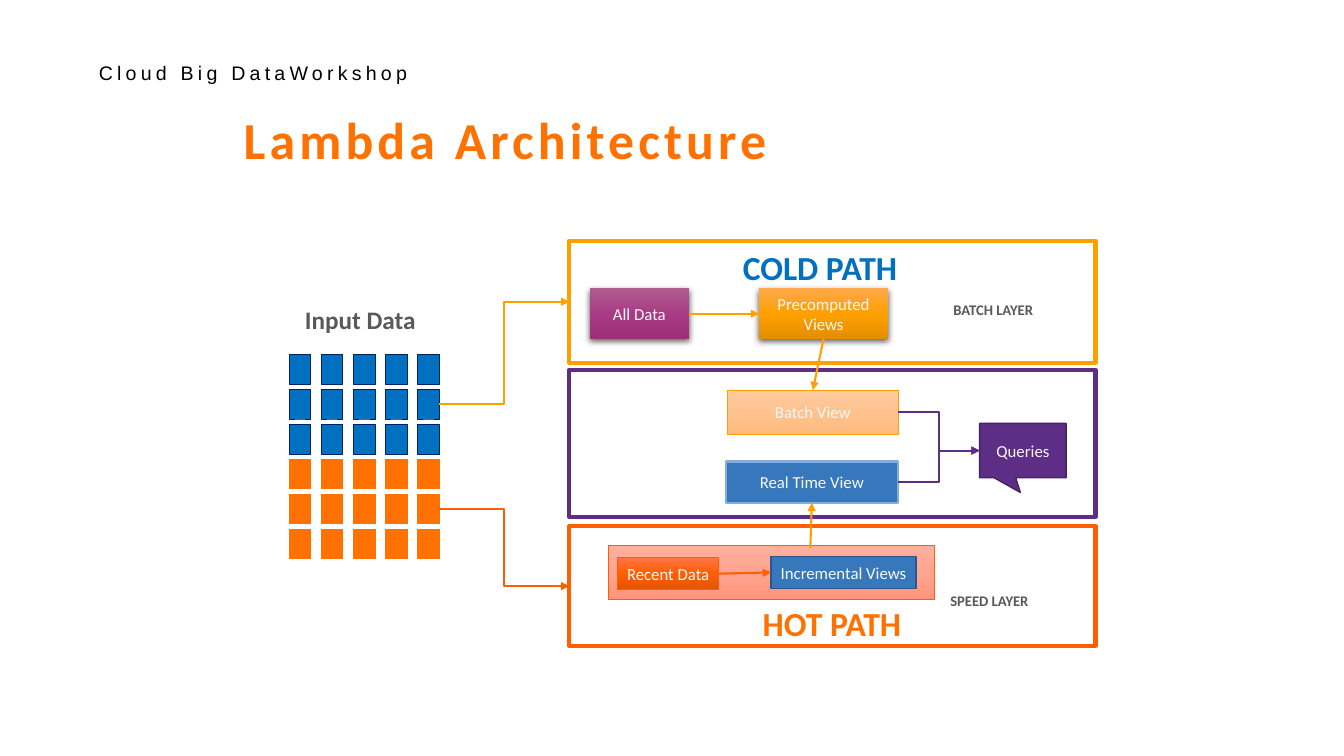
from dataclasses import dataclass

from lxml.etree import SubElement
from pptx import Presentation
from pptx.dml.color import RGBColor
from pptx.enum.shapes import MSO_CONNECTOR as Link, MSO_SHAPE as Preset
from pptx.enum.text import MSO_ANCHOR as Anchor, PP_ALIGN as Align
from pptx.oxml.ns import qn
from pptx.util import Cm, Pt

TOP, LEFT, BOTTOM, RIGHT = range(4)


@dataclass(frozen=True)
class Theme:
    """Colours, fonts and type sizes of the slide."""
    body: str = "Calibri"
    header: str = "Arial"
    black: str = "000000"
    grey: str = "595959"
    white: str = "F8F8F8"
    amber: str = "FFA000"
    orange: str = "FF7100"
    red: str = "FF5F00"
    purple: str = "5E2E86"
    purple_edge: str = "462263"
    blue: str = "0070C0"
    navy: str = "002060"
    steel: str = "3777BC"
    steel_light: str = "83ADDB"
    steel_dark: str = "29588B"
    amber_fade: tuple = ("FFA94B", "FFA000", "E38E00")
    peach_fade: tuple = ("FFCB9E", "FFC390", "FFBA7C")
    plum_fade: tuple = ("B05D90", "A93B84", "9B3076")
    pink_fade: tuple = ("FFB09E", "FFA490", "FF957C")
    red_fade: tuple = ("FF744B", "FF5F00", "E35400")
    title_size: float = 37
    path_size: float = 24
    input_size: float = 18
    header_size: float = 14
    node_size: float = 12
    layer_size: float = 10.5


@dataclass(frozen=True)
class Box:
    """A rectangle on the slide, in centimetres."""
    left: float
    top: float
    width: float
    height: float

    def inner(self, left, top, width, height):
        """Return a box given relative to this one."""
        return Box(self.left + left, self.top + top, width, height)

    def lengths(self):
        """Return left, top, width and height as lengths."""
        return [Cm(side) for side in (self.left, self.top, self.width, self.height)]


THEME = Theme()


def write(frame, text, size, color, bold=False, font=THEME.body, align=None, spacing=None):
    """Fill a text frame with one styled paragraph."""
    para = frame.paragraphs[0]
    para.text = text
    para.alignment = align
    para.font.size = Pt(size)
    para.font.name = font
    para.font.bold = bold
    para.font.color.rgb = RGBColor.from_string(color)
    if spacing:
        para.font._rPr.set("spc", str(spacing * 100))
    return para


def add_label(page, box, text, size, color, inset=(0.25, 0.13), wrap=False, leading=0.9, **style):
    """Add a text box."""
    frame = page.shapes.add_textbox(*box.lengths()).text_frame
    frame.word_wrap = wrap
    frame.margin_left = frame.margin_right = Cm(inset[0])
    frame.margin_top = frame.margin_bottom = Cm(inset[1])
    write(frame, text, size, color, **style).line_spacing = leading


def fade(shape, colors):
    """Fill a shape with an even gradient from top to bottom."""
    shape.fill.gradient()
    shape.fill.gradient_angle = 270
    stops = shape._element.spPr.find(".//" + qn("a:gsLst"))
    stops.clear()
    for index, color in enumerate(colors):
        stop = SubElement(stops, qn("a:gs"), pos=str(index * 100000 // (len(colors) - 1)))
        SubElement(stop, qn("a:srgbClr"), val=color)


def cast_shadow(shape):
    """Give a shape a soft shadow below it."""
    effects = shape._element.spPr.find(qn("a:effectLst"))
    shadow = SubElement(effects, qn("a:outerShdw"), blurRad="57150", dist="19050",
                        dir="5400000", algn="ctr", rotWithShape="0")
    color = SubElement(shadow, qn("a:srgbClr"), val=THEME.black)
    SubElement(color, qn("a:alpha"), val="63000")


def add_node(page, box, text="", fill=None, line=None, weight=0.5, preset=Preset.RECTANGLE):
    """Add a shape with an optional fill, outline and centred text."""
    shape = page.shapes.add_shape(preset, *box.lengths())
    shape.shadow.inherit = False
    if isinstance(fill, tuple):
        fade(shape, fill)
    elif fill:
        shape.fill.solid()
        shape.fill.fore_color.rgb = RGBColor.from_string(fill)
    else:
        shape.fill.background()
    if line:
        shape.line.color.rgb = RGBColor.from_string(line)
        shape.line.width = Pt(weight)
    else:
        shape.line.fill.background()
    if text:
        frame = shape.text_frame
        frame.word_wrap = True
        frame.vertical_anchor = Anchor.MIDDLE
        frame.margin_left = frame.margin_right = 0
        frame.margin_top = frame.margin_bottom = Cm(0.1)
        write(frame, text, THEME.node_size, THEME.white, align=Align.CENTER)
    return shape


def add_arrow(page, target, end_side, color, source=None, start_side=RIGHT, start=(0, 0),
              kind=Link.STRAIGHT):
    """Add an arrow to a shape from another shape or from a point."""
    x, y = (Cm(value) for value in start)
    arrow = page.shapes.add_connector(kind, x, y, x, y)
    if source is not None:
        arrow.begin_connect(source, start_side)
    arrow.end_connect(target, end_side)
    arrow.line.color.rgb = RGBColor.from_string(color)
    arrow.line.width = Pt(1.5)
    SubElement(arrow.line._get_or_add_ln(), qn("a:tailEnd"), type="triangle")
    SubElement(arrow._element.spPr, qn("a:effectLst"))


def add_heading(page, box):
    """Add the header line and the title."""
    add_label(page, box.inner(0, 0, 20.4, 0.86), "Cloud Big DataWorkshop", THEME.header_size,
              THEME.black, font=THEME.header, spacing=3, wrap=True, leading=1.0)
    add_label(page, box.inner(3.65, 1.37, 13.97, 2.01), "Lambda Architecture", THEME.title_size,
              THEME.orange, bold=True, spacing=3, wrap=True)


def add_input(page, box):
    """Add the input grid and return the cells that feed the two paths."""
    add_label(page, box.inner(0.1, 0, 3.38, 0.94), "Input Data", THEME.input_size, THEME.grey,
              bold=True, align=Align.CENTER, wrap=True)
    cells = {}
    for row in range(6):
        fill, line = (THEME.blue, THEME.navy) if row < 3 else (THEME.orange, THEME.orange)
        for column in range(5):
            cell = box.inner(column * 0.81, 1.32 + row * 0.88, 0.54, 0.74)
            cells[row, column] = add_node(page, cell, fill=fill, line=line)
    return cells[1, 4], cells[4, 4]


def add_panel(page, box, color):
    """Add the outline of a layer."""
    return add_node(page, box, line=color, weight=3)


def add_layer_name(page, box, text):
    """Add the small name of a layer."""
    add_label(page, box, text, THEME.layer_size, THEME.grey, inset=(0.38, 0.3), bold=True)


def add_cold_path(page, box):
    """Add the batch layer and return its panel and its views."""
    panel = add_panel(page, box, THEME.amber)
    add_label(page, box.inner(4.12, 0.13, 4.45, 1.17), "COLD PATH", THEME.path_size, THEME.blue,
              bold=True)
    add_layer_name(page, box.inner(9.3, 1.37, 2.9, 1.02), "BATCH LAYER")
    data = add_node(page, box.inner(0.51, 1.2, 2.51, 1.27), "All Data", THEME.plum_fade)
    views = add_node(page, box.inner(4.78, 1.2, 3.25, 1.27), "Precomputed Views", THEME.amber_fade)
    for node in (data, views):
        cast_shadow(node)
    add_arrow(page, views, LEFT, THEME.amber, data)
    return panel, views


def add_serving(page, box):
    """Add the serving layer and return its two views."""
    add_panel(page, box, THEME.purple)
    batch = add_node(page, box.inner(3.99, 0.51, 4.29, 1.12), "Batch View", THEME.peach_fade,
                     THEME.amber)
    live = add_node(page, box.inner(3.94, 2.31, 4.34, 1.04), "Real Time View", THEME.steel,
                    THEME.steel_light, 1.5)
    queries = add_node(page, box.inner(10.34, 1.35, 2.18, 1.37), "Queries", THEME.purple,
                       THEME.purple_edge, 1, Preset.RECTANGULAR_CALLOUT)
    queries.adjustments[0], queries.adjustments[1] = -0.03, 0.77
    for view in (batch, live):
        add_arrow(page, queries, LEFT, THEME.purple, view, kind=Link.ELBOW)
    return batch, live


def add_hot_path(page, box, live):
    """Add the speed layer, feed the real time view and return the panel."""
    panel = add_panel(page, box, THEME.red)
    add_node(page, box.inner(0.97, 0.48, 8.23, 1.37), fill=THEME.pink_fade, line=THEME.red)
    recent = add_node(page, box.inner(1.22, 0.79, 2.54, 0.81), "Recent Data", THEME.red_fade,
                      THEME.red)
    views = add_node(page, box.inner(5.08, 0.76, 3.66, 0.81), "Incremental Views", THEME.steel,
                     THEME.steel_dark, 1)
    add_arrow(page, views, LEFT, THEME.red, recent)
    add_layer_name(page, box.inner(9.22, 1.5, 2.82, 1.02), "SPEED LAYER")
    add_label(page, box.inner(4.62, 1.93, 4.04, 1.17), "HOT PATH", THEME.path_size, THEME.orange,
              bold=True)
    add_arrow(page, live, BOTTOM, THEME.amber, start=(box.left + 6.07, box.top + 0.56))
    return panel


def main():
    """Build the deck and save it."""
    deck = Presentation()
    deck.slide_width, deck.slide_height = Cm(33.87), Cm(19.05)
    page = deck.slides.add_slide(deck.slide_layouts[6])
    add_heading(page, Box(2.24, 1.4, 20.4, 3.38))
    cold_cell, hot_cell = add_input(page, Box(7.29, 7.62, 3.78, 6.43))
    cold, precomputed = add_cold_path(page, Box(14.35, 6.07, 13.26, 3.07))
    batch, live = add_serving(page, Box(14.35, 9.32, 13.26, 3.71))
    hot = add_hot_path(page, Box(14.35, 13.26, 13.26, 3.02), live)
    add_arrow(page, batch, TOP, THEME.amber, precomputed, BOTTOM)
    add_arrow(page, cold, LEFT, THEME.amber, cold_cell, kind=Link.ELBOW)
    add_arrow(page, hot, LEFT, THEME.red, hot_cell, kind=Link.ELBOW)
    deck.save("out.pptx")


if __name__ == "__main__":
    main()
